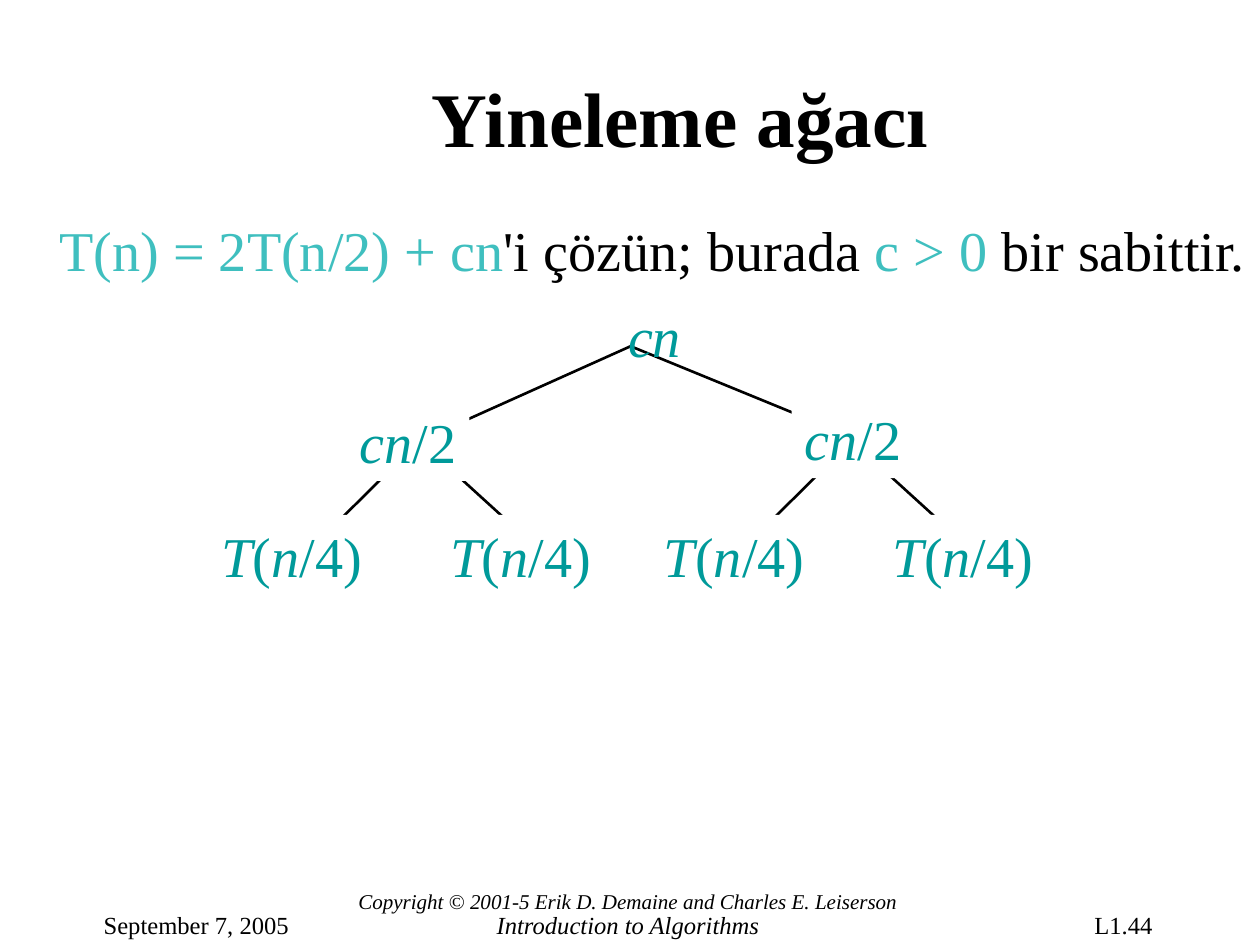
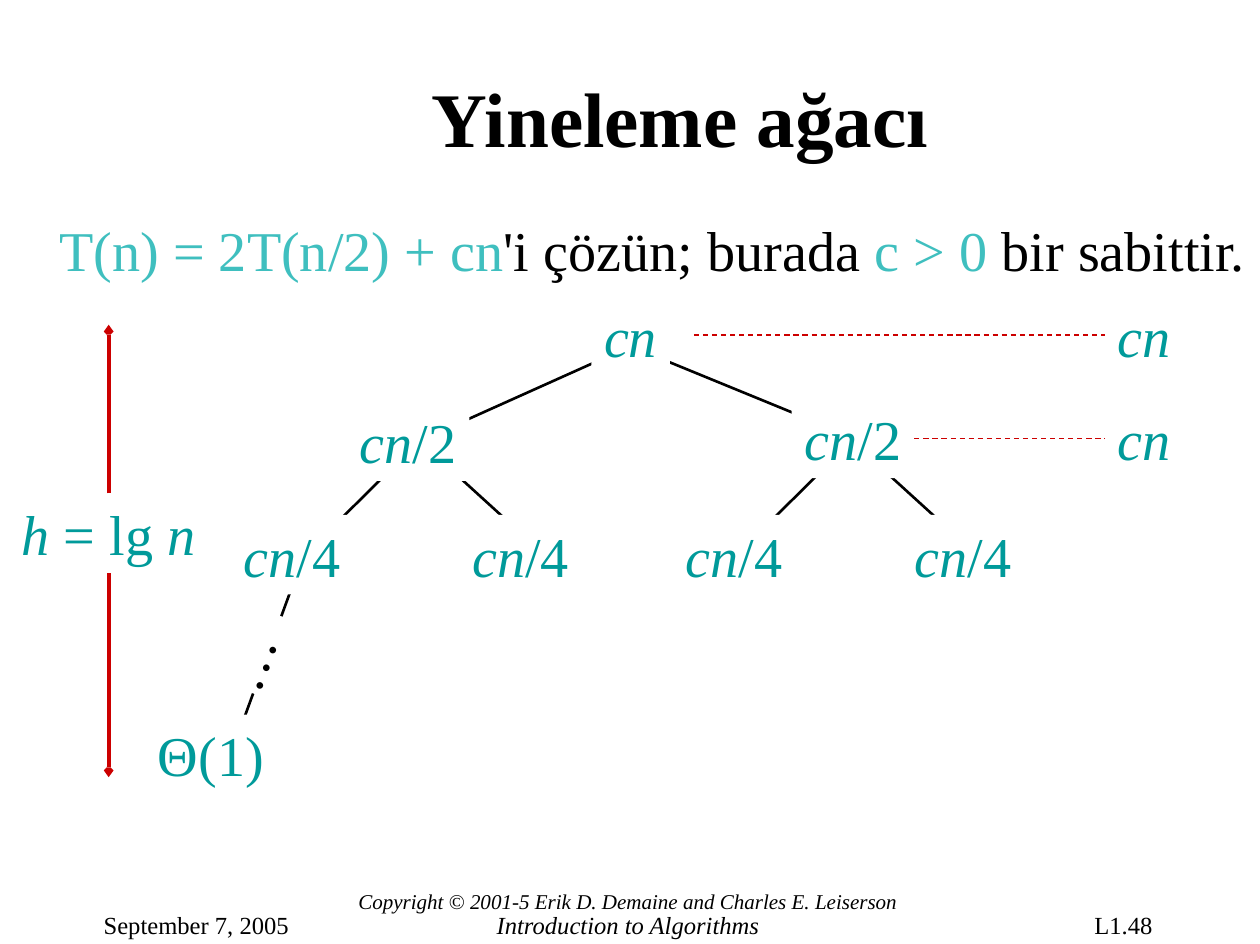
from lxml import etree
from pptx import Presentation
from pptx.dml.color import RGBColor
from pptx.enum import dml, shapes, text
from pptx.oxml.ns import qn
from pptx.util import Inches, Pt

COLORS = {"ink": "000000", "paper": "FFFFFF", "formula": "3FBFBF",
          "node": "009A9A", "accent": "CC0000"}
FONT = "Times New Roman"
LEFT, CENTER = text.PP_ALIGN.LEFT, text.PP_ALIGN.CENTER
TOP, MIDDLE = text.MSO_ANCHOR.TOP, text.MSO_ANCHOR.MIDDLE

TITLE = "Yineleme ağacı"
EQUATION = [("T(n) = 2T(n/2) + cn", "formula"), ("'i çözün; burada ", "ink"),
            ("c > 0 ", "formula"), ("bir sabittir.", "ink")]
COPYRIGHT = "Copyright © 2001-5 Erik D. Demaine and Charles E. Leiserson"
COURSE = "Introduction to Algorithms"
DATE = "September 7, 2005"

# Tree geometry in inches; edges run behind the filled node labels.
ROOT_END, INNER_ENDS = (4.99, 2.74), [(3.32, 3.49), (6.74, 3.49)]
LEAF_ENDS = [(2.4, 4.4), (4.32, 4.4), (5.82, 4.4), (7.74, 4.4)]
EDGES = [(ROOT_END, INNER_ENDS[0]), (ROOT_END, (6.82, 3.49))]
EDGES += [(INNER_ENDS[i // 2], leaf) for i, leaf in enumerate(LEAF_ENDS)]
INNER_CENTERS = [(3.23, 3.49), (6.75, 3.47)]
LEAF_CENTERS = [(x, 4.39) for x in (2.31, 4.12, 5.81, 7.62)]
ROOT_Y, TOTAL_X, NODE_HEIGHT = 2.65, 9.05, 0.63
BOTTOM_EDGE = (LEAF_ENDS[0], (1.82, 5.99))


def add_run(paragraph, words, color, size, italic=False, bold=False):
    run = paragraph.add_run()
    run.text = words
    font = run.font
    font.name, font.size, font.italic, font.bold = FONT, Pt(size), italic, bold
    font.color.rgb = RGBColor.from_string(COLORS[color])


def add_box(slide, left, top, width, height, align=LEFT, anchor=TOP):
    box = slide.shapes.add_textbox(*map(Inches, (left, top, width, height)))
    frame = box.text_frame
    frame.margin_left = frame.margin_right = frame.margin_top = frame.margin_bottom = 0
    frame.word_wrap, frame.vertical_anchor = True, anchor
    frame.paragraphs[0].alignment = align
    return box


def add_node(slide, label, center, width, filled=True, align=CENTER, color="node"):
    """Add a label centred on a point; underscores enclose its italic parts."""
    x, y = center
    box = add_box(slide, x - width / 2, y - NODE_HEIGHT / 2, width, NODE_HEIGHT,
                  align, MIDDLE)
    if filled:
        box.fill.solid()
        box.fill.fore_color.rgb = RGBColor.from_string(COLORS["paper"])
    for i, part in enumerate(label.split("_")):
        if part:
            add_run(box.text_frame.paragraphs[0], part, color, 32, italic=i % 2 == 1)
    return box


def add_line(slide, start, end, color="ink", width=1.5, dashed=False, arrow=False):
    line = slide.shapes.add_connector(shapes.MSO_CONNECTOR.STRAIGHT,
                                      *map(Inches, (*start, *end)))
    line.line.color.rgb = RGBColor.from_string(COLORS[color])
    line.line.width = Pt(width)
    if dashed:
        line.line.dash_style = dml.MSO_LINE.DASH
    properties = line._element.spPr
    if arrow:
        etree.SubElement(properties.find(qn("a:ln")), qn("a:tailEnd"),
                         type="arrow", w="sm", len="sm")
    etree.SubElement(properties, qn("a:effectLst"))
    return line


def add_tree_slide(presentation, page):
    """Add a slide with the shared title, equation, footer and tree edges."""
    slide = presentation.slides.add_slide(presentation.slide_layouts[5])
    title = slide.shapes.title
    title.left, title.top, title.width, title.height = map(
        Inches, (0.87, 0.56, 8.23, 0.74))
    frame = title.text_frame
    frame.margin_left = Inches(0.8)
    frame.margin_right = frame.margin_top = frame.margin_bottom = 0
    frame.vertical_anchor = TOP
    frame.paragraphs[0].alignment = CENTER
    frame.paragraphs[0].line_spacing = Pt(52.6)
    add_run(frame.paragraphs[0], TITLE, "ink", 44, bold=True)

    equation = add_box(slide, 0.47, 1.71, 9.42, 0.53).text_frame.paragraphs[0]
    equation.line_spacing = Pt(38.2)
    for words, color in EQUATION:
        add_run(equation, words, color, 32)

    footer = add_box(slide, 2.82, 7.03, 4.3, 0.41, CENTER).text_frame
    add_run(footer.paragraphs[0], COPYRIGHT, "ink", 12, italic=True)
    course = footer.add_paragraph()
    course.alignment, course.line_spacing = CENTER, Pt(14.5)
    add_run(course, COURSE, "ink", 14, italic=True)
    for words, left, width in ((DATE, 0.82, 1.49), (page, 8.66, 0.5)):
        box = add_box(slide, left, 7.2, width, 0.25)
        add_run(box.text_frame.paragraphs[0], words, "ink", 14)

    for start, end in EDGES:
        add_line(slide, start, end)
    return slide


def add_levels(slide, leaf_label, leaf_width):
    """Label the two lower levels and return the inner nodes."""
    for center in LEAF_CENTERS:
        add_node(slide, leaf_label, center, leaf_width)
    return [add_node(slide, "_cn_/2", center, 0.97) for center in INNER_CENTERS]


def build_expanded_slide(presentation):
    slide = add_tree_slide(presentation, "L1.44")
    add_levels(slide, "_T_(_n_/4)", 1.31)
    add_node(slide, "_cn_", (5.18, ROOT_Y), 0.62, filled=False)


def build_height_slide(presentation):
    slide = add_tree_slide(presentation, "L1.48")
    add_line(slide, *BOTTOM_EDGE)
    add_node(slide, "_cn_", (4.99, ROOT_Y), 0.62)
    right_inner = add_levels(slide, "_cn_/4", 0.97)[1]
    add_node(slide, "Θ(1)", (1.67, 5.97), 1.05)
    dots = add_node(slide, "…", (2, 5.14), 0.65, align=LEFT, color="ink")
    dots.rotation = 290

    height = add_node(slide, "_h_ = lg _n_", (0.86, 4.22), 1.57)
    for side, start_y, end_y in ((0, 3.9, 2.57), (2, 4.54, 6.15)):
        arrow = add_line(slide, (0.86, start_y), (0.86, end_y), "accent", 2.25,
                         arrow=True)
        arrow.begin_connect(height, side)

    for start, y in (((5.49, ROOT_Y), ROOT_Y), ((7.23, 3.47), INNER_CENTERS[1][1])):
        total = add_node(slide, "_cn_", (TOTAL_X, y), 0.62)
        dash = add_line(slide, start, (8.74, y), "accent", 0.75, dashed=True)
        dash.end_connect(total, 1)
    dash.begin_connect(right_inner, 3)


def main():
    presentation = Presentation()
    presentation.slide_width, presentation.slide_height = Inches(9.97), Inches(7.47)
    build_expanded_slide(presentation)
    build_height_slide(presentation)
    presentation.save("out.pptx")


if __name__ == "__main__":
    main()
